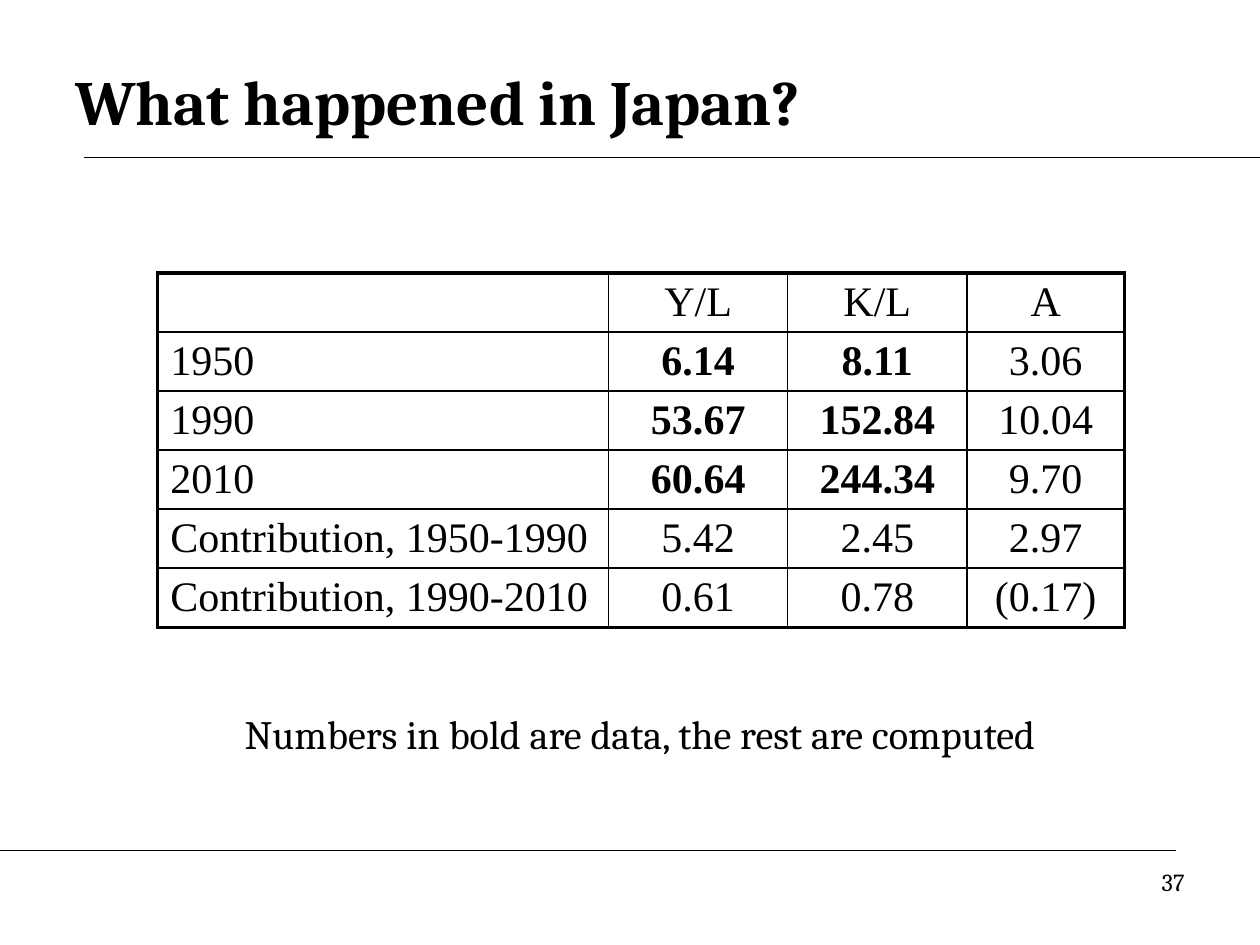
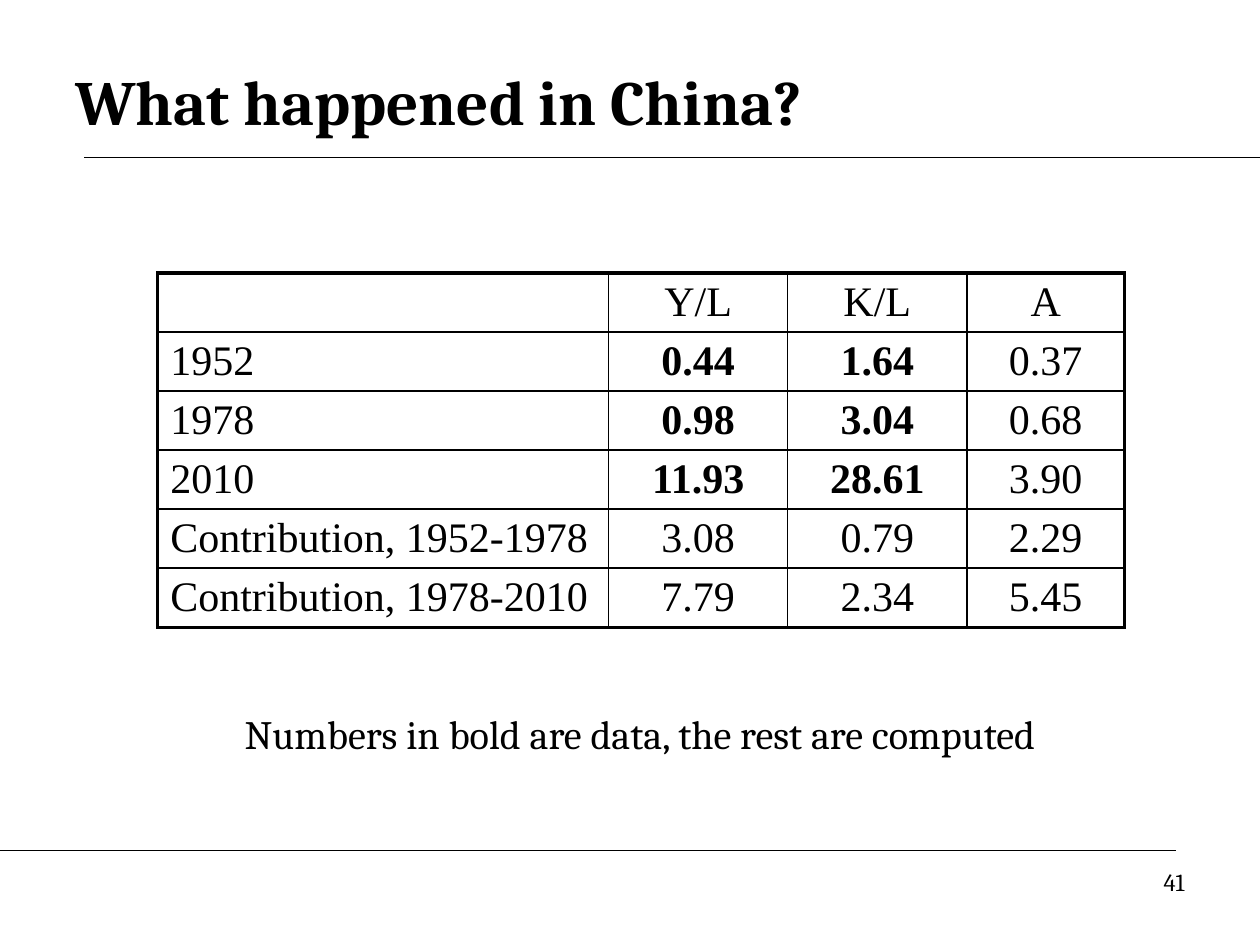
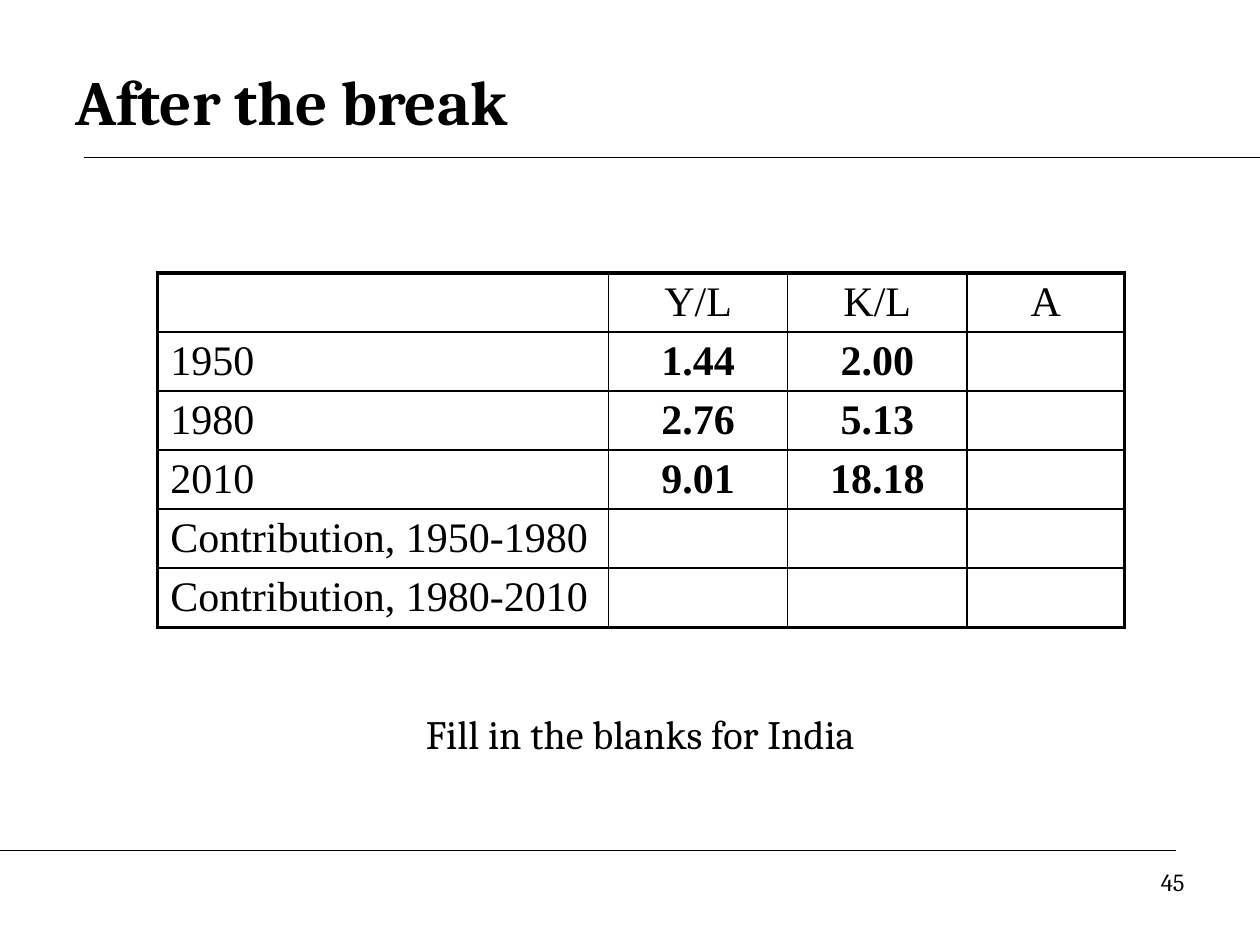
"""Build three growth-accounting slides, each with one table and a caption."""
from dataclasses import dataclass

from lxml import etree
from pptx import Presentation
from pptx.dml.color import RGBColor
from pptx.enum.shapes import MSO_CONNECTOR
from pptx.enum.text import MSO_ANCHOR, PP_ALIGN
from pptx.oxml.ns import qn
from pptx.util import Cm, Pt

STRAIGHT = MSO_CONNECTOR.STRAIGHT
TOP, MIDDLE = MSO_ANCHOR.TOP, MSO_ANCHOR.MIDDLE
LEFT, CENTER, RIGHT = PP_ALIGN.LEFT, PP_ALIGN.CENTER, PP_ALIGN.RIGHT


@dataclass(frozen=True)
class Theme:
    ink: str = "000000"
    paper: str = "FFFFFF"
    text_font: str = "Cambria"
    table_font: str = "Times New Roman"
    title_size: int = 36
    table_size: int = 24
    caption_size: int = 23
    number_size: int = 14
    rule_width: float = 0.75
    grid_width: float = 1
    frame_width: float = 2.25


THEME = Theme()
INK = RGBColor.from_string(THEME.ink)

SLIDE_WIDTH, SLIDE_HEIGHT = 25.4, 19.05
RULES = [(1.7, SLIDE_WIDTH, 3.18), (0, 23.7, 17.15)]
TABLE_LEFT, TABLE_TOP = 3.18, 5.5
COLUMN_WIDTHS = [9.09, 3.61, 3.61, 3.18]
ROW_HEIGHT = 1.19
HEADER = ["", "Y/L", "K/L", "A"]
DATA_ROWS, DATA_COLUMNS = range(1, 4), range(1, 3)
COMPUTED_NOTE = "Numbers in bold are data, the rest are computed"

SLIDES = [
    ("What happened in Japan?", COMPUTED_NOTE, 37, [
        ["1950", "6.14", "8.11", "3.06"],
        ["1990", "53.67", "152.84", "10.04"],
        ["2010", "60.64", "244.34", "9.70"],
        ["Contribution, 1950-1990", "5.42", "2.45", "2.97"],
        ["Contribution, 1990-2010", "0.61", "0.78", "(0.17)"],
    ]),
    ("What happened in China?", COMPUTED_NOTE, 41, [
        ["1952", "0.44", "1.64", "0.37"],
        ["1978", "0.98", "3.04", "0.68"],
        ["2010", "11.93", "28.61", "3.90"],
        ["Contribution, 1952-1978", "3.08", "0.79", "2.29"],
        ["Contribution, 1978-2010", "7.79", "2.34", "5.45"],
    ]),
    ("After the break", "Fill in the blanks for India", 45, [
        ["1950", "1.44", "2.00", ""],
        ["1980", "2.76", "5.13", ""],
        ["2010", "9.01", "18.18", ""],
        ["Contribution, 1950-1980", "", "", ""],
        ["Contribution, 1980-2010", "", "", ""],
    ]),
]


def write(text_frame, text, font, size, alignment, bold=False):
    paragraph = text_frame.paragraphs[0]
    paragraph.text = text
    paragraph.alignment = alignment
    paragraph.font.name = font
    paragraph.font.size = Pt(size)
    paragraph.font.bold = bold
    paragraph.font.color.rgb = INK


def add_border(cell, side, width):
    properties = cell._tc.get_or_add_tcPr()
    line = etree.SubElement(properties, qn(f"a:ln{side}"), w=str(Pt(width)))
    fill = etree.SubElement(line, qn("a:solidFill"))
    etree.SubElement(fill, qn("a:srgbClr"), val=THEME.ink)


presentation = Presentation()
presentation.slide_width = Cm(SLIDE_WIDTH)
presentation.slide_height = Cm(SLIDE_HEIGHT)
blank_layout = presentation.slide_layouts[6]

for title, caption, number, body in SLIDES:
    slide = presentation.slides.add_slide(blank_layout)
    slide.background.fill.solid()
    slide.background.fill.fore_color.rgb = RGBColor.from_string(THEME.paper)

    for start, end, height in RULES:
        rule = slide.shapes.add_connector(
            STRAIGHT, Cm(start), Cm(height), Cm(end), Cm(height))
        rule.line.color.rgb = INK
        rule.line.width = Pt(THEME.rule_width)
        etree.SubElement(rule._element.spPr, qn("a:effectLst"))

    rows = [HEADER, *body]
    frame = slide.shapes.add_table(
        len(rows), len(HEADER), Cm(TABLE_LEFT), Cm(TABLE_TOP),
        Cm(sum(COLUMN_WIDTHS)), Cm(ROW_HEIGHT * len(rows)))
    table = frame.table
    table.first_row = table.horz_banding = False
    for column, width in zip(table.columns, COLUMN_WIDTHS):
        column.width = Cm(width)
    for row_index, values in enumerate(rows):
        table.rows[row_index].height = Cm(ROW_HEIGHT)
        for column_index, value in enumerate(values):
            cell = table.cell(row_index, column_index)
            cell.vertical_anchor = MIDDLE
            write(cell.text_frame, value, THEME.table_font, THEME.table_size,
                  CENTER if column_index else LEFT,
                  row_index in DATA_ROWS and column_index in DATA_COLUMNS)
            outer_sides = {
                "L": column_index == 0,
                "R": column_index == len(HEADER) - 1,
                "T": row_index == 0,
                "B": row_index == len(rows) - 1,
            }
            for side, is_outer in outer_sides.items():
                add_border(cell, side,
                           THEME.frame_width if is_outer else THEME.grid_width)
            cell.fill.background()

    text_boxes = [
        (title, (1.27, 0.85, 22.86, 2.33), THEME.title_size, LEFT, MIDDLE, True),
        (caption, (1.7, 14.18, 22.43, 2.33), THEME.caption_size, CENTER, TOP, False),
        (str(number), (18.2, 17.36, 5.93, 1.32), THEME.number_size, RIGHT, TOP, False),
    ]
    for text, place, size, alignment, anchor, bold in text_boxes:
        text_box = slide.shapes.add_textbox(*map(Cm, place))
        text_box.text_frame.word_wrap = True
        text_box.text_frame.vertical_anchor = anchor
        write(text_box.text_frame, text, THEME.text_font, size, alignment, bold)

presentation.save("out.pptx")
